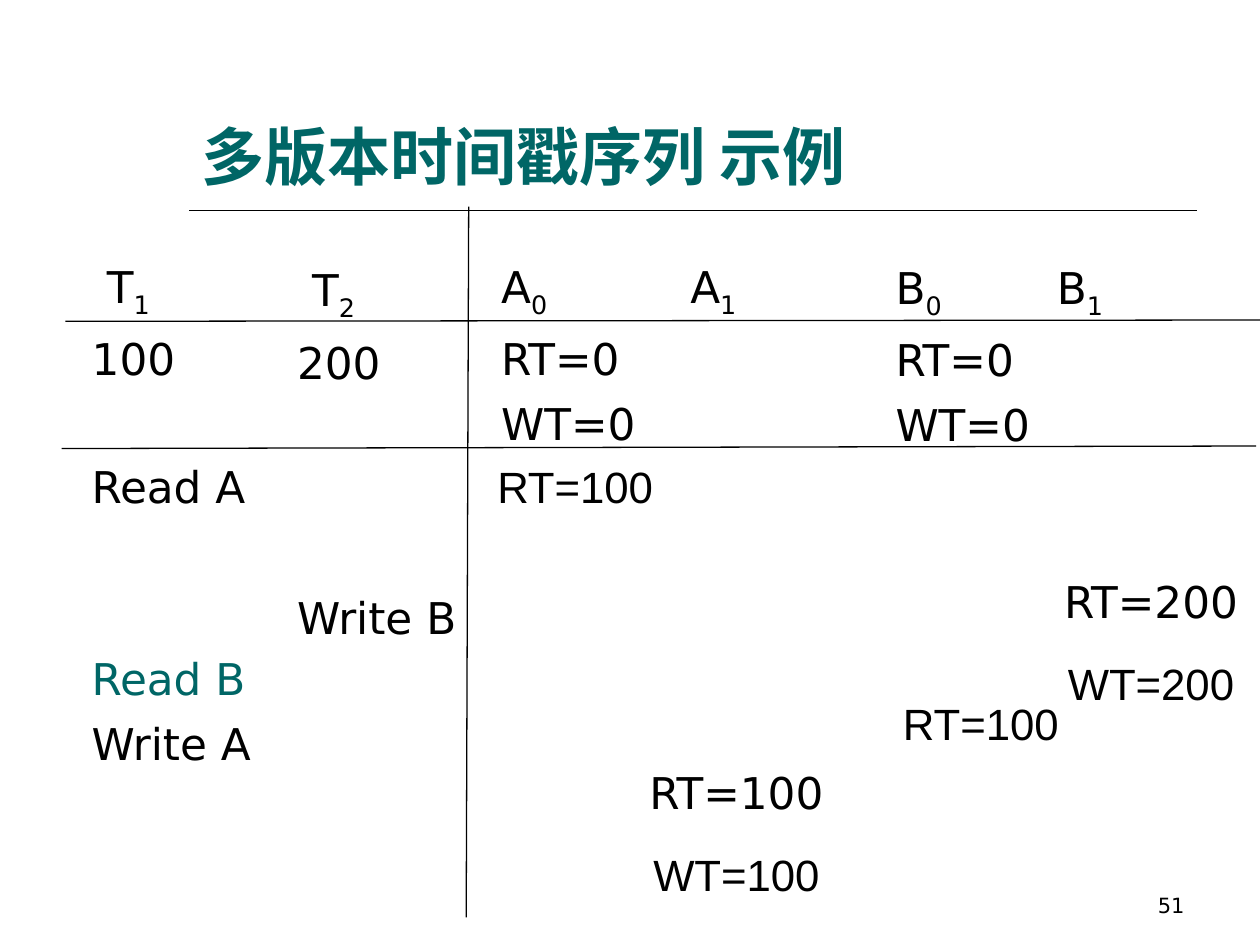
from dataclasses import dataclass

from pptx import Presentation
from pptx.dml.color import RGBColor as RGB
from pptx.enum.shapes import MSO_CONNECTOR as Link
from pptx.enum.text import MSO_ANCHOR as Anchor, PP_ALIGN as Align
from pptx.oxml.ns import qn
from pptx.util import Inches, Pt
from lxml.etree import SubElement


@dataclass(frozen=True)
class Theme:
    ink: RGB = RGB(0, 0, 0)
    accent: RGB = RGB(0, 0x66, 0x66)
    sans: str = "DejaVu Sans"
    heading: str = "Arial"
    title_size: int = 36
    body_size: int = 25
    number_size: int = 12
    row_gap: float = 7.1       # space above a schedule row, points
    row_pitch: float = 36.2    # full height of a schedule row, points
    stamp_gap: float = 17      # space between the stamps of one version


@dataclass(frozen=True)
class Line:
    text: str
    sub: str = ""
    skip: int = 0              # empty schedule rows above
    indent: float = 0          # grid columns
    font: str = ""
    color: RGB = None
    size: int = 0
    bold: bool = False


THEME = Theme()
WIDTH, HEIGHT = Inches(10), Inches(7.5)
COLUMNS, ROWS = 100, 75


def col(count):
    return round(WIDTH * count / COLUMNS)


def row(count):
    return round(HEIGHT * count / ROWS)


def write(slide, box, lines, gap=0, align=Align.LEFT, anchor=Anchor.TOP):
    """Place lines of text in a box of (column, row, columns, rows)."""
    left, top, width, height = box
    frame = slide.shapes.add_textbox(col(left), row(top), col(width), row(height)).text_frame
    frame.word_wrap = True
    frame.vertical_anchor = anchor
    for index, line in enumerate(lines):
        paragraph = frame.paragraphs[0] if index == 0 else frame.add_paragraph()
        paragraph.alignment = align
        if index:
            paragraph.space_before = Pt(gap + line.skip * THEME.row_pitch)
        if line.indent:
            paragraph._p.get_or_add_pPr().set("marL", str(col(line.indent)))
        font = paragraph.font
        font.name = line.font or THEME.sans
        font.size = Pt(line.size or THEME.body_size)
        font.bold = line.bold
        font.color.rgb = line.color or THEME.ink
        paragraph.add_run().text = line.text
        if line.sub:
            subscript = paragraph.add_run()
            subscript.text = line.sub
            subscript._r.get_or_add_rPr().set("baseline", "-25000")


def rule(slide, start, end, weight=0.75):
    line = slide.shapes.add_connector(
        Link.STRAIGHT, col(start[0]), row(start[1]), col(end[0]), row(end[1]))
    line.line.color.rgb = THEME.ink
    line.line.width = Pt(weight)
    SubElement(line._element.spPr, qn("a:effectLst"))


def add_header(slide, box):
    """Title with a rule below it."""
    left, top, width, height = box
    title = Line("多版本时间戳序列 示例", font=THEME.heading, color=THEME.accent,
                 size=THEME.title_size, bold=True)
    write(slide, box, [title], anchor=Anchor.BOTTOM)
    below = top + height + 0.9
    rule(slide, (left, below), (left + width, below), weight=1)


def add_schedule(slide, box):
    """Transactions on the left, versions of A and B on the right."""
    left, top, width, height = box
    initial = [Line("RT=0"), Line("WT=0")]
    columns = [
        (1.4, 3.7, 15.4, [Line("T", "1", indent=1.2), Line("100"), Line("Read A", skip=1),
                          Line("Read B", skip=2, color=THEME.accent), Line("Write A")]),
        (17.7, 4, 15.4, [Line("T", "2", indent=1.2), Line("200"), Line("Write B", skip=3)]),
        (33.9, 3.7, 16.6, [Line("A", "0"), *initial]),
        (48.9, 3.7, 17.1, [Line("A", "1")]),
        (65.2, 3.8, 16.4, [Line("B", "0"), *initial]),
        (78, 3.8, 17.1, [Line("B", "1")]),
    ]
    for x, y, columns_wide, lines in columns:
        write(slide, (left + x, top + y, columns_wide, height - y), lines, THEME.row_gap)

    # Grid lines
    right = left + width
    rule(slide, (left + 0.3, top + 9.1), (right, top + 9))
    rule(slide, (left, top + 19.2), (right - 0.3, top + 19))
    rule(slide, (left + 32.3, top), (left + 32.1, top + 56.4))

    # Timestamps set by each operation
    for x, y, stamp, written in [(32.1, 19.6, 100, False), (77.8, 28.7, 200, True),
                                 (64.3, 38.4, 100, False), (44.9, 43.9, 100, True)]:
        lines = [Line(f"RT={stamp}", font=THEME.sans if written else THEME.heading)]
        if written:
            lines.append(Line(f"WT={stamp}", font=THEME.heading))
        write(slide, (left + x, top + y, 17.3, 11.5 if written else 5.2), lines,
              THEME.stamp_gap, Align.CENTER)


def add_page_number(slide, box):
    write(slide, box, [Line("51", size=THEME.number_size)],
          align=Align.RIGHT, anchor=Anchor.BOTTOM)


def main():
    deck = Presentation()
    deck.slide_width, deck.slide_height = WIDTH, HEIGHT
    slide = deck.slides.add_slide(deck.slide_layouts[6])
    add_page_number(slide, (71.7, 68.3, 23.3, 5))
    add_header(slide, (15, 3.3, 80, 12.5))
    add_schedule(slide, (4.9, 16.4, 95.1, 58.6))
    deck.save("out.pptx")


if __name__ == "__main__":
    main()
